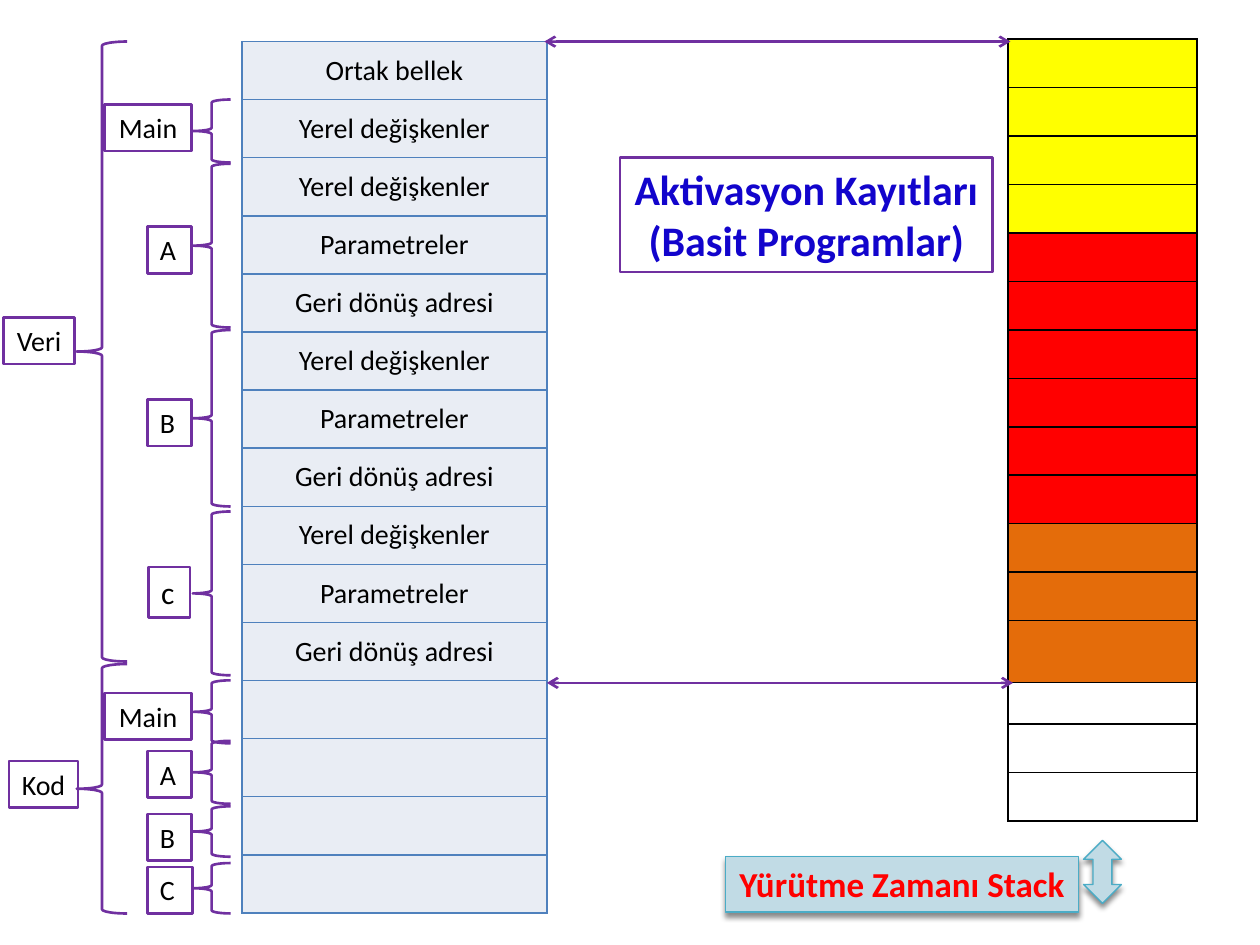
"""Build the activation records slide: memory layout, braces and run-time stack."""
from dataclasses import dataclass

from lxml.etree import SubElement
from pptx import Presentation
from pptx.dml.color import RGBColor
from pptx.enum.shapes import MSO_CONNECTOR as Connector, MSO_SHAPE as Shape
from pptx.enum.text import MSO_ANCHOR as Anchor, MSO_AUTO_SIZE as AutoSize, PP_ALIGN as Align
from pptx.oxml import parse_xml
from pptx.oxml.ns import nsdecls, qn
from pptx.util import Inches, Pt

PX = Inches(1) // 100


@dataclass(frozen=True)
class Theme:
    font: str = "Calibri"
    purple: str = "7030A0"
    black: str = "000000"
    title: str = "1204CC"
    memory: str = "E9EDF4"
    memory_line: str = "4F81BD"
    yellow: str = "FFFF00"
    red: str = "FF0000"
    orange: str = "E46C0A"
    teal: str = "C1DBE5"
    teal_line: str = "4BACC6"
    body_size: int = 16
    large_label_size: int = 18
    caption_size: int = 20
    title_size: int = 24
    line: float = 1.5
    thin_line: float = 0.79


THEME = Theme()

RECORD = ["Yerel değişkenler", "Parametreler", "Geri dönüş adresi"]
MEMORY = ["Ortak bellek", RECORD[0]] + RECORD * 3 + [""] * 4
MEMORY_BOX = (192, 33, 242, 692)

STACK_FILLS = [THEME.yellow] * 4 + [THEME.red] * 6 + [THEME.orange] * 3 + [None] * 3
STACK_BOX = (800, 31, 150, 621)
STACK_TALL_ROWS = {12: 49, 13: 33}

SECTION_BRACES = [(33, 492), (527, 198)]
UNIT_BRACES = [(79, 50), (130, 130), (262, 140), (406, 130),
               (540, 50), (588, 50), (640, 40), (685, 40)]

LABELS = [
    ("Veri", (3, 252, 56, 37), Align.CENTER, THEME.body_size),
    ("Kod", (7, 604, 55, 37), Align.CENTER, THEME.body_size),
    ("Main", (83, 83, 69, 37), Align.CENTER, THEME.body_size),
    ("A", (117, 180, 35, 37), Align.LEFT, THEME.body_size),
    ("B", (117, 317, 35, 37), Align.LEFT, THEME.body_size),
    ("c", (118, 450, 33, 40), Align.LEFT, THEME.large_label_size),
    ("Main", (83, 550, 69, 37), Align.CENTER, THEME.body_size),
    ("A", (117, 596, 35, 37), Align.LEFT, THEME.body_size),
    ("B", (117, 646, 35, 37), Align.LEFT, THEME.body_size),
    ("C", (117, 688, 36, 37), Align.LEFT, THEME.body_size),
]

TITLE = ["Aktivasyon Kayıtları", "(Basit Programlar)"]
TITLE_BOX = (492, 125, 296, 91)
CAPTION = "Yürütme Zamanı Stack"
CAPTION_BOX = (576, 680, 280, 44)
STACK_ARROW_BOX = (860, 667, 30, 50)
LINKS = [(432, 802, 33), (434, 804, 542)]


def emu(box):
    return [round(value * PX) for value in box]


def paint(fill, color):
    if color is None:
        fill.background()
    else:
        fill.solid()
        fill.fore_color.rgb = RGBColor.from_string(color)


def outline(shape, color=THEME.purple, width=THEME.line):
    shape.line.color.rgb = RGBColor.from_string(color)
    shape.line.width = Pt(width)


def write(paragraph, text, size, color=THEME.black, bold=False, align=Align.CENTER):
    paragraph.alignment = align
    run = paragraph.add_run()
    run.text = text
    run.font.name = THEME.font
    run.font.size = Pt(size)
    run.font.bold = bold
    run.font.color.rgb = RGBColor.from_string(color)


def add_box(slide, box, lines, size, **style):
    shape = slide.shapes.add_textbox(*emu(box))
    frame = shape.text_frame
    frame.word_wrap = False
    frame.auto_size = AutoSize.SHAPE_TO_FIT_TEXT
    for index, text in enumerate(lines):
        paragraph = frame.add_paragraph() if index else frame.paragraphs[0]
        write(paragraph, text, size, **style)
    outline(shape)
    return shape


def add_shape(slide, kind, box):
    shape = slide.shapes.add_shape(kind, *emu(box))
    shape.shadow.inherit = False
    shape.fill.background()
    outline(shape)
    return shape


def make_teal(shape):
    paint(shape.fill, THEME.teal)
    outline(shape, THEME.teal_line, THEME.thin_line)
    shape.shadow.inherit = False
    effects = shape.element.spPr.find(qn("a:effectLst"))
    effects.append(parse_xml(
        f'<a:outerShdw {nsdecls("a")} blurRad="{Pt(3)}" dist="{Pt(2.4)}" dir="5400000" '
        f'rotWithShape="0"><a:srgbClr val="{THEME.black}"><a:alpha val="45000"/>'
        '</a:srgbClr></a:outerShdw>'))


def add_column(slide, box, heights, fills, border):
    table = slide.shapes.add_table(len(heights), 1, *emu(box)).table
    table.first_row = table.horz_banding = False
    for row, height, fill in zip(table.rows, heights, fills):
        row.height = round(height * PX)
        cell = row.cells[0]
        cell.margin_top = cell.margin_bottom = 0
        cell.vertical_anchor = Anchor.MIDDLE
        properties = cell._tc.get_or_add_tcPr()
        for side in ("lnL", "lnR", "lnT", "lnB"):
            properties.append(parse_xml(
                f'<a:{side} {nsdecls("a")} w="{Pt(1)}"><a:solidFill>'
                f'<a:srgbClr val="{border}"/></a:solidFill></a:{side}>'))
        paint(cell.fill, fill)
    return table


def add_link(slide, left, right, y):
    link = slide.shapes.add_connector(Connector.STRAIGHT, *emu((left, y, right, y)))
    outline(link)
    line = link.line._get_or_add_ln()
    for end in ("a:headEnd", "a:tailEnd"):
        SubElement(line, qn(end), type="arrow")
    SubElement(link.element.spPr, qn("a:effectLst"))


def main():
    presentation = Presentation()
    presentation.slide_width, presentation.slide_height = emu((1000, 750))
    slide = presentation.slides.add_slide(presentation.slide_layouts[6])

    rows = len(MEMORY)
    memory = add_column(slide, MEMORY_BOX, [MEMORY_BOX[3] / rows] * rows,
                        [THEME.memory] * rows, THEME.memory_line)
    for row, text in zip(memory.rows, MEMORY):
        if text:
            write(row.cells[0].text_frame.paragraphs[0], text, THEME.body_size)

    regular = (STACK_BOX[3] - sum(STACK_TALL_ROWS.values())) / (len(STACK_FILLS) - len(STACK_TALL_ROWS))
    heights = [STACK_TALL_ROWS.get(index, regular) for index in range(len(STACK_FILLS))]
    add_column(slide, STACK_BOX, heights, STACK_FILLS, THEME.black)

    for left, width, braces in ((61, 40, SECTION_BRACES), (153, 30, UNIT_BRACES)):
        for top, height in braces:
            add_shape(slide, Shape.LEFT_BRACE, (left, top, width, height))
    for text, box, align, size in LABELS:
        add_box(slide, box, [text], size, align=align)
    for link in LINKS:
        add_link(slide, *link)

    add_box(slide, TITLE_BOX, TITLE, THEME.title_size, color=THEME.title, bold=True)
    make_teal(add_box(slide, CAPTION_BOX, [CAPTION], THEME.caption_size, color=THEME.red, bold=True))
    make_teal(add_shape(slide, Shape.UP_DOWN_ARROW, STACK_ARROW_BOX))
    presentation.save("out.pptx")


if __name__ == "__main__":
    main()
